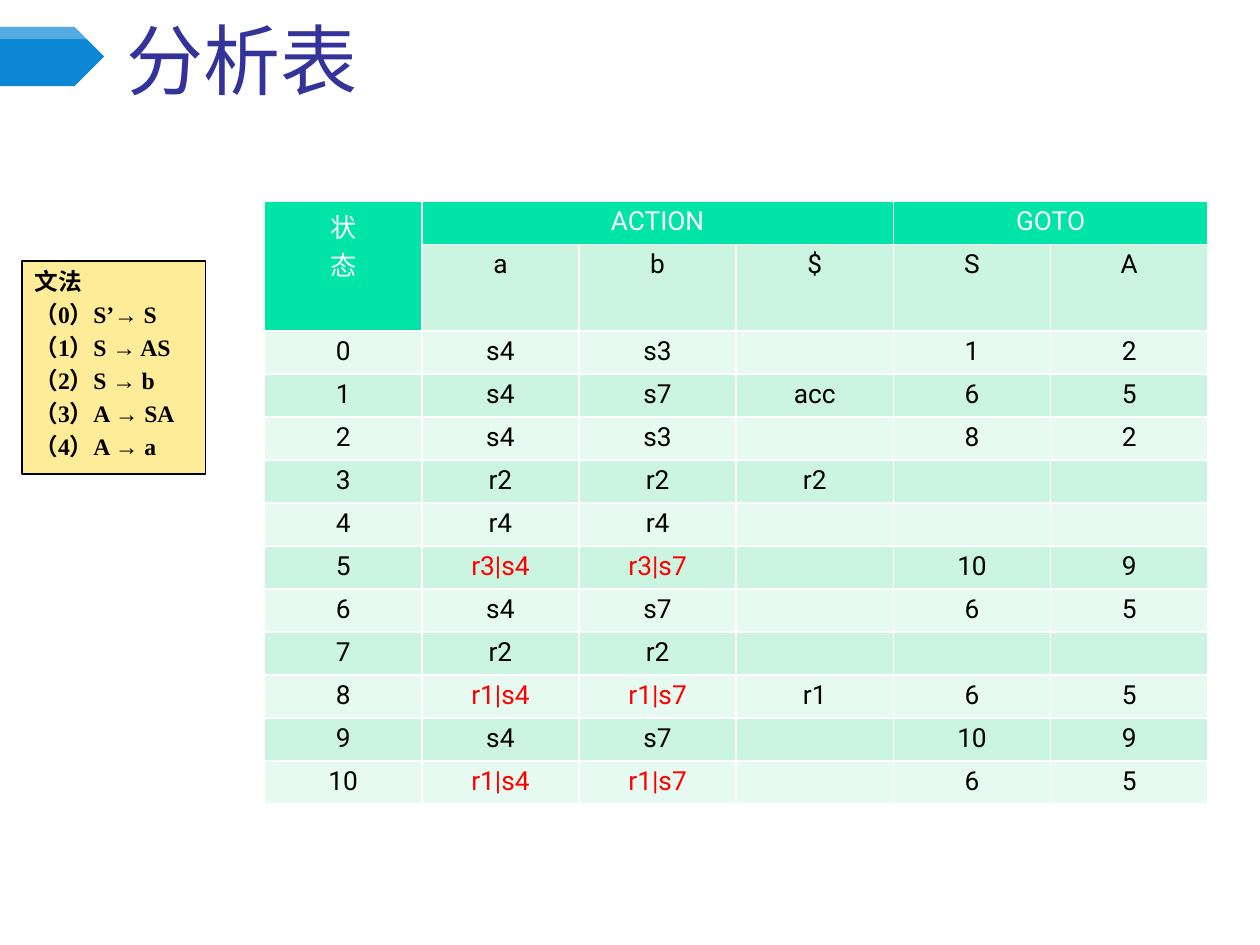
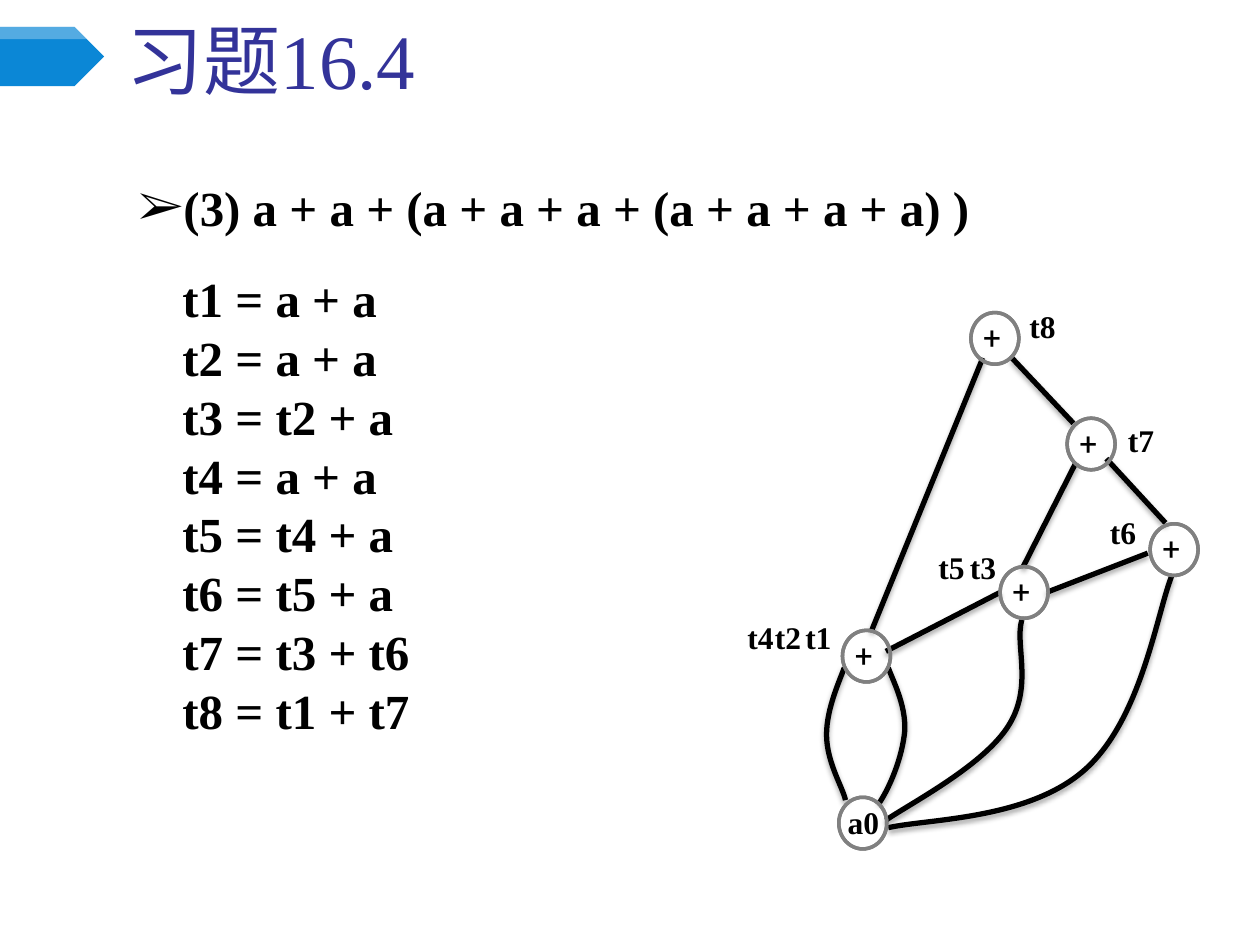
"""Build two slides: an LR parsing table and the DAG of an expression."""
from lxml import etree
from pptx import Presentation
from pptx.dml.color import RGBColor
from pptx.enum.shapes import MSO_CONNECTOR, MSO_SHAPE
from pptx.enum.text import MSO_ANCHOR, PP_ALIGN
from pptx.oxml.ns import qn
from pptx.util import Pt

STRAIGHT = MSO_CONNECTOR.STRAIGHT
PENTAGON, RECTANGLE, DONUT = MSO_SHAPE.PENTAGON, MSO_SHAPE.RECTANGLE, MSO_SHAPE.DONUT
TOP, BOTTOM = MSO_ANCHOR.TOP, MSO_ANCHOR.BOTTOM
LEFT, CENTER = PP_ALIGN.LEFT, PP_ALIGN.CENTER

COLORS = {
    "title": "333399", "band": "0B87D6", "white": "FFFFFF", "black": "000000",
    "header": "00E4A8", "dark row": "CCF5E1", "light row": "E7FAF1",
    "conflict": "FF0000", "grammar": "FFEC99", "ring": "808080",
}
SERIF, SANS, CJK = "Times New Roman", "Roboto", "Noto Sans CJK SC"

TABLE_TITLE = "分析表"
GRAMMAR = ["文法", "（0）S’→ S", "（1）S → AS", "（2）S → b", "（3）A → SA", "（4）A → a"]
PARSING_TABLE = [
    ["状\n态", "ACTION", "", "", "GOTO", ""],
    ["", "a", "b", "$", "S", "A"],
    ["0", "s4", "s3", "", "1", "2"],
    ["1", "s4", "s7", "acc", "6", "5"],
    ["2", "s4", "s3", "", "8", "2"],
    ["3", "r2", "r2", "r2", "", ""],
    ["4", "r4", "r4", "", "", ""],
    ["5", "r3|s4", "r3|s7", "", "10", "9"],
    ["6", "s4", "s7", "", "6", "5"],
    ["7", "r2", "r2", "", "", ""],
    ["8", "r1|s4", "r1|s7", "r1", "6", "5"],
    ["9", "s4", "s7", "", "10", "9"],
    ["10", "r1|s4", "r1|s7", "", "6", "5"],
]
MERGES = [((0, 0), (1, 0)), ((0, 1), (0, 3)), ((0, 4), (0, 5))]

EXERCISE_TITLE = "习题16.4"
EXPRESSION = "(3) a + a + (a + a + a + (a + a + a + a) )"
CODE = ["t1 = a + a", "t2 = a + a", "t3 = t2 + a", "t4 = a + a",
        "t5 = t4 + a", "t6 = t5 + a", "t7 = t3 + t6", "t8 = t1 + t7"]
NODES = [("+", 554.8, 178.6), ("+", 657.2, 299.3), ("+", 481.4, 360.2),
         ("+", 609.8, 239), ("a0", 479.3, 455.6), ("+", 571.5, 323.8)]
NODE_WIDTH, NODE_HEIGHT = 27.4, 29.5
NODE_LABELS = [("t1", 449.3, 349.7), ("t3", 543.4, 309.6), ("t2", 432, 349.7),
               ("t4", 416.2, 349.7), ("t5", 525.4, 309.6), ("t7", 633.6, 236.9),
               ("t6", 623.3, 289.4), ("t8", 577.4, 172.1)]
EDGES = [(506.2, 372.2, 571.7, 338.4), (598.3, 338.4, 655.9, 316.1),
         (614.9, 264.2, 584.6, 324), (632.2, 262.1, 666, 298.8),
         (561.6, 204.5, 498.2, 360), (578.2, 204.5, 613.4, 241.9)]
CURVES = [
    [(482.4, 381.6), (480.2, 388.1), (472.3, 404.6), (472.3, 419.8),
     (472.3, 435.6), (481.7, 450), (483.1, 457.2)],
    [(507.6, 381.6), (509.8, 388.1), (517.7, 402.5), (517, 417.6),
     (515.5, 433.4), (508.3, 450), (502.6, 458.6)],
    [(506.2, 468.7), (519.8, 459.4), (560.2, 438.5), (575.3, 416.2),
     (591.1, 393.1), (579.6, 368.6), (583.9, 354.2)],
    [(507.6, 473), (529.2, 468), (587.5, 468.7), (619.9, 439.9),
     (652.3, 411.1), (661, 350.6), (669.6, 329)],
]


def color(name):
    return RGBColor.from_string(COLORS[name])


def style(para, font, size, ink="black", bold=False, align=LEFT):
    para.alignment = align
    for span in para.runs:
        span.font.name, span.font.size, span.font.bold = font, Pt(size), bold
        span.font.color.rgb = color(ink)
        east_asian = etree.SubElement(span.font._element, qn("a:ea"))
        east_asian.set("typeface", CJK)


def add_text(page, text, place, font, size, ink="black", bold=False,
             align=LEFT, anchor=TOP, wrap=True):
    box = page.shapes.add_textbox(*map(Pt, place))
    frame = box.text_frame
    frame.word_wrap, frame.vertical_anchor = wrap, anchor
    frame.text = text
    for para in frame.paragraphs:
        style(para, font, size, ink, bold, align)
    return box


def paint(shape, fill=None, line=None, width=1):
    shape.shadow.inherit = False
    if fill:
        shape.fill.solid()
        shape.fill.fore_color.rgb = color(fill)
    else:
        shape.fill.background()
    if line:
        shape.line.color.rgb, shape.line.width = color(line), Pt(width)
    else:
        shape.line.fill.background()


def set_alpha(parent, percent):
    etree.SubElement(parent, qn("a:alpha")).set("val", str(percent * 1000))


def add_outline(page, points, close):
    corners = [(Pt(x), Pt(y)) for x, y in points]
    builder = page.shapes.build_freeform(*corners[0])
    builder.add_line_segments(corners[1:], close=close)
    return builder.convert_to_shape()


def add_curve(page, points):
    wire = add_outline(page, points, False)
    segments = list(wire._element.spPr.iter(qn("a:lnTo")))
    for first in range(0, len(segments), 3):
        bezier = etree.Element(qn("a:cubicBezTo"))
        segments[first].addprevious(bezier)
        for segment in segments[first:first + 3]:
            bezier.append(segment[0])
            segment.getparent().remove(segment)
    return wire


def add_page(deck, title):
    page = deck.slides.add_slide(deck.slide_layouts[6])
    band = page.shapes.add_shape(PENTAGON, Pt(0), Pt(15.4), Pt(59.5), Pt(33.8))
    paint(band, "band")
    gloss = add_outline(page, [(0, 15.4), (42.6, 15.4), (49.6, 22.4), (0, 22.4)], True)
    paint(gloss, "white")
    set_alpha(gloss._element.spPr.find(".//" + qn("a:srgbClr")), 30)
    add_text(page, title, (65.2, 13, 639.4, 50.4), SERIF, 44, "title", anchor=BOTTOM)
    return page


def add_wire_shadow(shape):
    properties = shape._element.spPr
    for old in properties.findall(qn("a:effectLst")):
        properties.remove(old)
    effects = etree.SubElement(properties, qn("a:effectLst"))
    shadow = etree.SubElement(effects, qn("a:outerShdw"), blurRad=str(Pt(3.1)),
                              dist=str(Pt(1.8)), dir="5400000", rotWithShape="0")
    ink = etree.SubElement(shadow, qn("a:srgbClr"), val=COLORS["black"])
    set_alpha(ink, 35)


def add_borders(cell):
    properties = cell._tc.get_or_add_tcPr()
    for index, side in enumerate(("lnL", "lnR", "lnT", "lnB")):
        line = etree.Element(qn("a:" + side), w=str(Pt(1)))
        fill = etree.SubElement(line, qn("a:solidFill"))
        etree.SubElement(fill, qn("a:srgbClr"), val=COLORS["white"])
        properties.insert(index, line)


def fill_cell(cell, text, row, column):
    is_header = row == 0 or (row == 1 and column == 0)
    fill = "header" if is_header else "dark row" if row % 2 else "light row"
    ink = "white" if is_header else "conflict" if "|" in text else "black"
    cell.fill.solid()
    cell.fill.fore_color.rgb = color(fill)
    cell.margin_left = cell.margin_right = Pt(5.76)
    cell.margin_top = cell.margin_bottom = Pt(2.88)
    cell.text_frame.text = text
    for para in cell.text_frame.paragraphs:
        style(para, SANS, 15, ink, align=CENTER)
        etree.SubElement(para._p, qn("a:endParaRPr"), sz="1500")
    add_borders(cell)


def add_parsing_table(page):
    rows, columns = len(PARSING_TABLE), len(PARSING_TABLE[0])
    frame = page.shapes.add_table(rows, columns, Pt(151.2), Pt(115.2), Pt(539), Pt(344))
    table = frame.table
    table.first_row = table.horz_banding = False
    for column in table.columns:
        column.width = Pt(89.85)
    for index, row in enumerate(table.rows):
        row.height = Pt(49.5 if index == 1 else 24.55)
    for row, texts in enumerate(PARSING_TABLE):
        for column, text in enumerate(texts):
            fill_cell(table.cell(row, column), text, row, column)
    for start, end in MERGES:
        table.cell(*start).merge(table.cell(*end))


def add_grammar(page):
    box = page.shapes.add_shape(RECTANGLE, Pt(12.7), Pt(149), Pt(104.7), Pt(121.7))
    paint(box, "grammar", "black")
    frame = box.text_frame
    frame.vertical_anchor, frame.word_wrap = TOP, False
    frame.text = "\n".join(GRAMMAR)
    for index, para in enumerate(frame.paragraphs):
        style(para, SERIF if index else CJK, 13.5, bold=True)
        if index:
            para.space_before = Pt(2.7)


def add_expression(page):
    box = add_text(page, EXPRESSION, (39.6, 93.6, 639.4, 45.4), SERIF, 28, bold=True)
    para = box.text_frame.paragraphs[0]
    para.line_spacing = Pt(38)
    properties = para._p.get_or_add_pPr()
    properties.set("marL", str(Pt(54)))
    properties.set("indent", str(Pt(-21.6)))
    etree.SubElement(properties, qn("a:buFont"), typeface=SERIF)
    etree.SubElement(properties, qn("a:buChar"), char="➢")


def add_code(page):
    box = add_text(page, "\n".join(CODE), (97.2, 149.8, 146.2, 278.6), SERIF, 28,
                   bold=True, wrap=False)
    for para in box.text_frame.paragraphs:
        para.line_spacing = Pt(33.65)


def add_dag(page):
    for curve in CURVES:
        wire = add_curve(page, curve)
        paint(wire, None, "black", 3)
        add_wire_shadow(wire)
    for edge in EDGES:
        wire = page.shapes.add_connector(STRAIGHT, *map(Pt, edge))
        wire.line.color.rgb, wire.line.width = color("black"), Pt(3)
        add_wire_shadow(wire)
    for text, left, top in NODES:
        is_leaf = text != "+"
        add_text(page, text, (left - 2 if is_leaf else left, top - 0.4, 33, 28.8),
                 SERIF if is_leaf else SANS, 18, bold=is_leaf, wrap=not is_leaf)
        ring = page.shapes.add_shape(DONUT, Pt(left), Pt(top),
                                     Pt(NODE_WIDTH), Pt(NODE_HEIGHT))
        ring.adjustments[0] = 0
        paint(ring, "header", "ring", 2)
    for text, left, top in NODE_LABELS:
        add_text(page, text, (left, top, 36.7, 29.5), SERIF, 18, bold=True, align=CENTER)


def main():
    deck = Presentation()
    deck.slide_width, deck.slide_height = Pt(720), Pt(540)
    page = add_page(deck, TABLE_TITLE)
    add_parsing_table(page)
    add_grammar(page)
    page = add_page(deck, EXERCISE_TITLE)
    add_expression(page)
    add_code(page)
    add_dag(page)
    deck.save("out.pptx")


if __name__ == "__main__":
    main()
